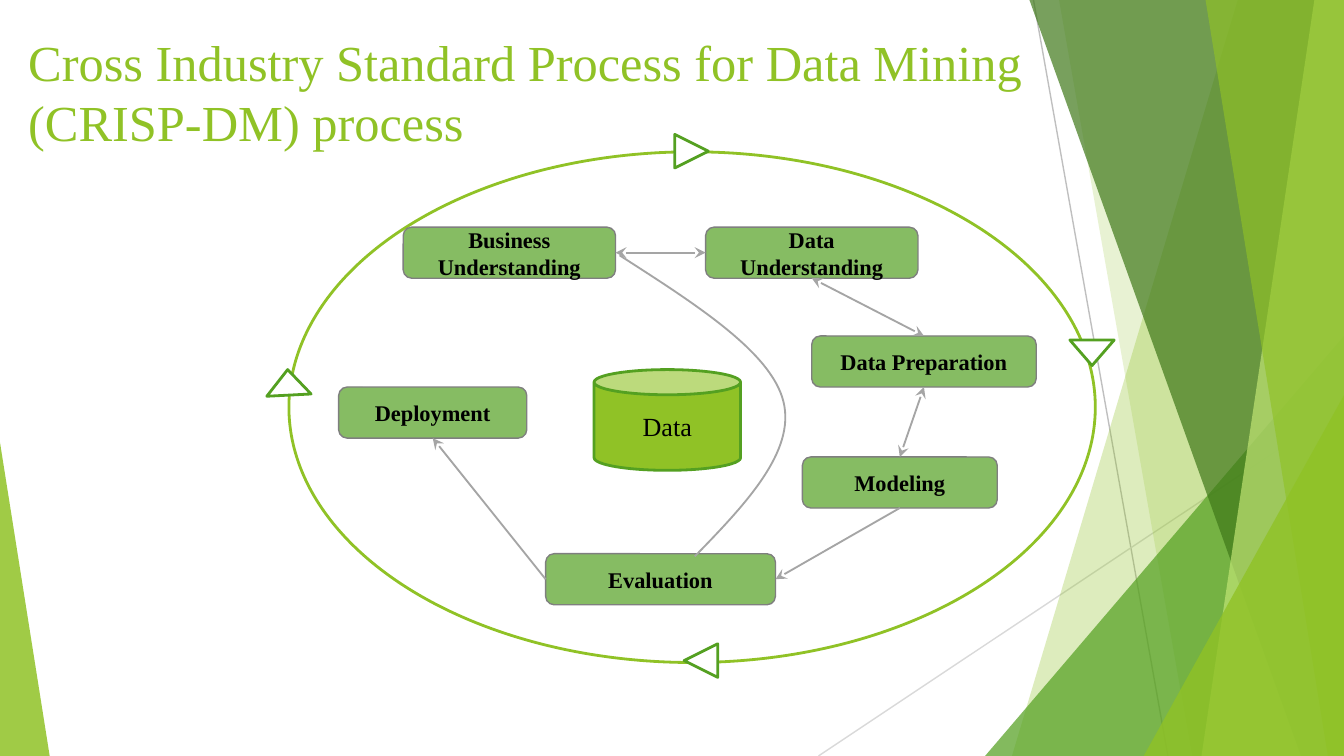
"""Build the CRISP-DM process slide."""
from lxml.etree import SubElement
from pptx import Presentation
from pptx.dml.color import RGBColor
from pptx.enum.shapes import MSO_CONNECTOR, MSO_SHAPE
from pptx.enum.text import MSO_ANCHOR, MSO_AUTO_SIZE, PP_ALIGN
from pptx.oxml.ns import qn
from pptx.util import Inches, Pt

WIDTH = 10
HEIGHT = WIDTH * 9 / 16
FONT = "Times New Roman"
COLORS = {
    "lime": "90C226", "green": "54A021", "forest": "3F7819", "pale": "C0E474",
    "white": "FFFFFF", "black": "000000", "border": "7F7F7F", "arrow": "A5A5A5",
    "ray": "BFBFBF", "faint ray": "D9D9D9",
}
TITLE = "Cross Industry Standard Process for Data Mining (CRISP-DM) process"

RAYS = [((7.69, 0), (8.69, HEIGHT), "ray"), ((WIDTH, 3.02), (6.09, HEIGHT), "faint ray")]
# Each facet: top-left x, bottom-left x, colour, opacity; each wedge: left, top, width, apex, colour, opacity
BACK_FACETS = [(9.21, 7.53, "lime", 30), (7.88, 8.87, "lime", 20)]
BACK_WEDGES = [(7.33, 2.5, 2.67, 1, "green", 72)]
FRONT_FACETS = [(7.66, 9.68, "forest", 70), (9.78, 8.94, "pale", 70), (8.97, 9.88, "lime", 65)]
FRONT_WEDGES = [(8.51, 2.94, 1.49, 1, "lime", 80), (0, 3.29, 0.37, 0, "lime", 85)]

CYCLE = (2.15, 1.13, 6, 3.8)
STEP_HEIGHT = 0.38
STEPS = {
    "Business\nUnderstanding": (3, 1.69, 1.58),
    "Data Understanding": (5.25, 1.69, 1.58),
    "Data Preparation": (6.04, 2.5, 1.67),
    "Modeling": (5.97, 3.4, 1.45),
    "Deployment": (2.52, 2.88, 1.4),
    "Evaluation": (4.06, 4.12, 1.71),
}
TOP, LEFT, BOTTOM, RIGHT = range(4)
FLOWS = [
    ("Business\nUnderstanding", RIGHT, "Data Understanding", LEFT, True),
    ("Data Understanding", BOTTOM, "Data Preparation", TOP, True),
    ("Data Preparation", BOTTOM, "Modeling", TOP, True),
    ("Modeling", BOTTOM, "Evaluation", RIGHT, False),
    ("Evaluation", LEFT, "Deployment", BOTTOM, False),
]
FEEDBACK = [(5.17, 4.14), (5.55, 3.75), (5.92, 3.36), (5.83, 2.99),
            (5.74, 2.62), (5.17, 2.26), (4.61, 1.9)]
CYCLE_HEADS = [
    (5.02, 1, 0.25, 0.25, 90), (7.96, 2.53, 0.33, 0.19, 180),
    (5.09, 4.79, 0.25, 0.25, 270), (1.98, 2.75, 0.33, 0.19, 357.1),
]


def rgb(color):
    return RGBColor.from_string(COLORS[color])


def paint(shape, fill=None, opacity=100, line=None, weight=1):
    shape.shadow.inherit = False
    if fill:
        shape.fill.solid()
        shape.fill.fore_color.rgb = rgb(fill)
        if opacity < 100:
            tint = shape.fill._xPr.find(qn("a:solidFill"))[0]
            SubElement(tint, qn("a:alpha"), val=str(opacity * 1000))
    else:
        shape.fill.background()
    if line:
        shape.line.color.rgb = rgb(line)
        shape.line.width = Pt(weight)
    else:
        shape.line.fill.background()


def add_preset(slide, preset, box, **look):
    shape = slide.shapes.add_shape(preset, *map(Inches, box))
    paint(shape, **look)
    return shape


def add_outline(slide, points, closed, **look):
    corners = [(Inches(x), Inches(y)) for x, y in points]
    builder = slide.shapes.build_freeform(*corners[0])
    builder.add_line_segments(corners[1:], close=closed)
    outline = builder.convert_to_shape()
    paint(outline, **look)
    return outline


def add_line(slide, start, end, color, weight, heads=()):
    line = slide.shapes.add_connector(MSO_CONNECTOR.STRAIGHT, *map(Inches, (*start, *end)))
    line.line.color.rgb = rgb(color)
    line.line.width = Pt(weight)
    for head in heads:
        SubElement(line.line._get_or_add_ln(), qn(f"a:{head}"), type="stealth")
    SubElement(line._element.spPr, qn("a:effectLst"))
    return line


def write(shape, text, size, color, bold=False, align=PP_ALIGN.CENTER):
    frame = shape.text_frame
    frame.text = text
    frame.word_wrap = True
    frame.auto_size = MSO_AUTO_SIZE.NONE
    frame.vertical_anchor = MSO_ANCHOR.MIDDLE
    for paragraph in frame.paragraphs:
        paragraph.alignment = align
        for run in paragraph.runs:
            run.font.name, run.font.size, run.font.bold = FONT, Pt(size), bold
            run.font.color.rgb = rgb(color)


def add_decor(slide, facets, wedges):
    for top_x, bottom_x, color, opacity in facets:
        corners = [(top_x, 0), (WIDTH, 0), (WIDTH, HEIGHT), (bottom_x, HEIGHT)]
        add_outline(slide, corners, True, fill=color, opacity=opacity)
    for left, top, width, apex, color, opacity in wedges:
        box = (left, top, width, HEIGHT - top)
        wedge = add_preset(slide, MSO_SHAPE.ISOSCELES_TRIANGLE, box, fill=color, opacity=opacity)
        wedge.adjustments[0] = apex


def add_feedback(slide):
    curve = add_outline(slide, FEEDBACK, False, line="arrow")
    segments = curve._element.xpath(".//a:lnTo")
    for first in range(0, len(segments), 3):
        bend = segments[first]
        for control in segments[first + 1:first + 3]:
            bend.append(control[0])
            control.getparent().remove(control)
        bend.tag = qn("a:cubicBezTo")


def main():
    deck = Presentation()
    deck.slide_width, deck.slide_height = Inches(WIDTH), Inches(HEIGHT)
    slide = deck.slides.add_slide(deck.slide_layouts[5])

    for start, end, color in RAYS:
        add_line(slide, start, end, color, 0.75)
    add_decor(slide, BACK_FACETS, BACK_WEDGES)
    add_decor(slide, FRONT_FACETS, FRONT_WEDGES)
    add_preset(slide, MSO_SHAPE.OVAL, CYCLE, fill="white", line="lime", weight=1.5)

    steps = {}
    for name, (left, top, width) in STEPS.items():
        steps[name] = add_preset(slide, MSO_SHAPE.ROUNDED_RECTANGLE, (left, top, width, STEP_HEIGHT),
                                 fill="green", opacity=70, line="border", weight=0.75)
        write(steps[name], name, 12, "black", bold=True)
    data = add_preset(slide, MSO_SHAPE.CAN, (4.42, 2.75, 1.09, 0.75),
                      fill="lime", line="green", weight=1.5)
    write(data, "Data", 14, "black")

    for source, source_side, target, target_side, both_ways in FLOWS:
        heads = ("headEnd", "tailEnd") if both_ways else ("tailEnd",)
        flow = add_line(slide, (0, 0), (1, 1), "arrow", 1, heads)
        flow.begin_connect(steps[source], source_side)
        flow.end_connect(steps[target], target_side)
    add_feedback(slide)

    for *box, angle in CYCLE_HEADS:
        head = add_preset(slide, MSO_SHAPE.ISOSCELES_TRIANGLE, box,
                          fill="white", line="green", weight=1.5)
        head.rotation = angle

    title = slide.shapes.title
    title.left, title.top, title.width, title.height = map(Inches, (0.11, -0.03, 7.85, 1.42))
    write(title, TITLE, 27, "lime", align=PP_ALIGN.LEFT)
    slide.shapes._spTree.append(title._element)
    deck.save("out.pptx")


if __name__ == "__main__":
    main()
